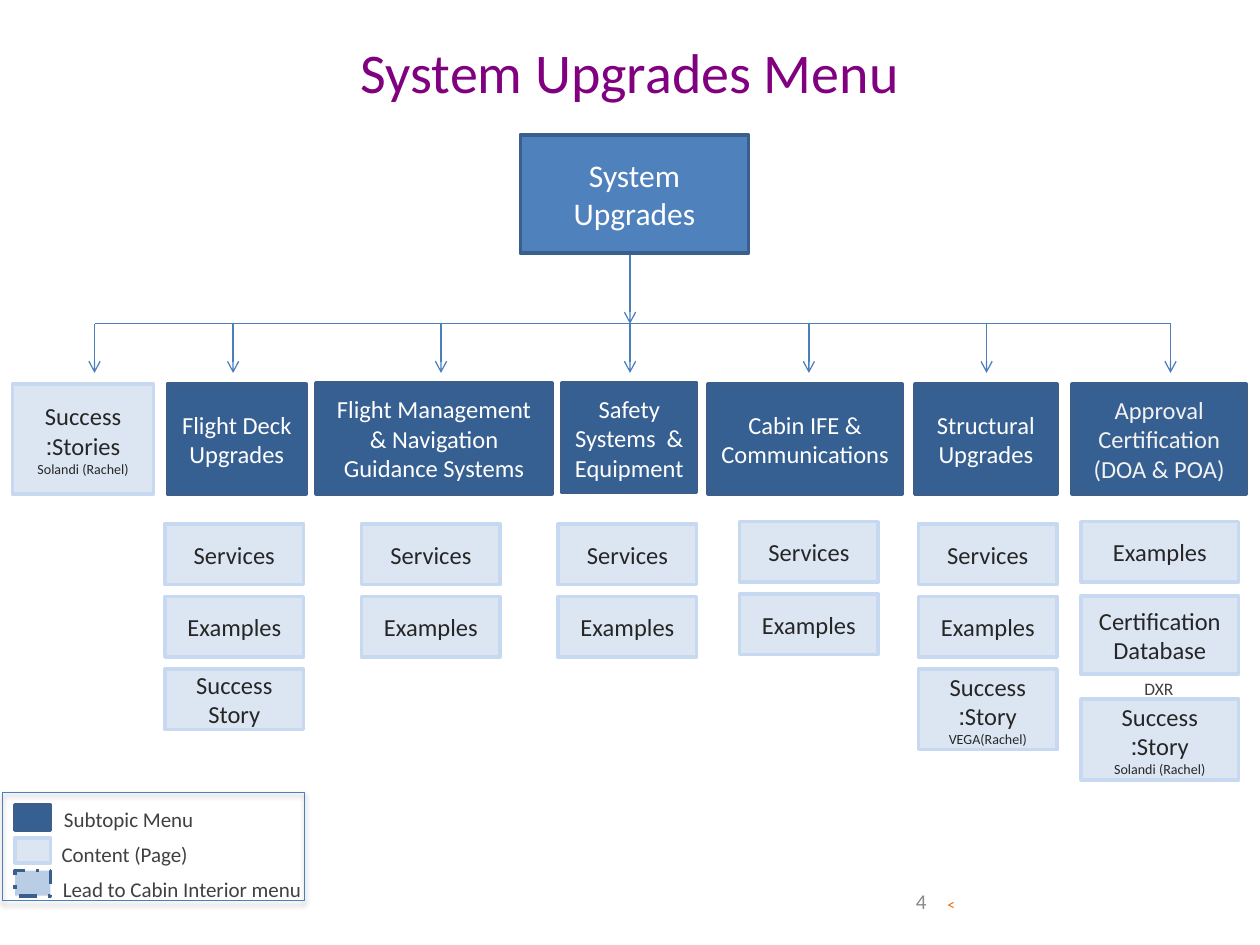
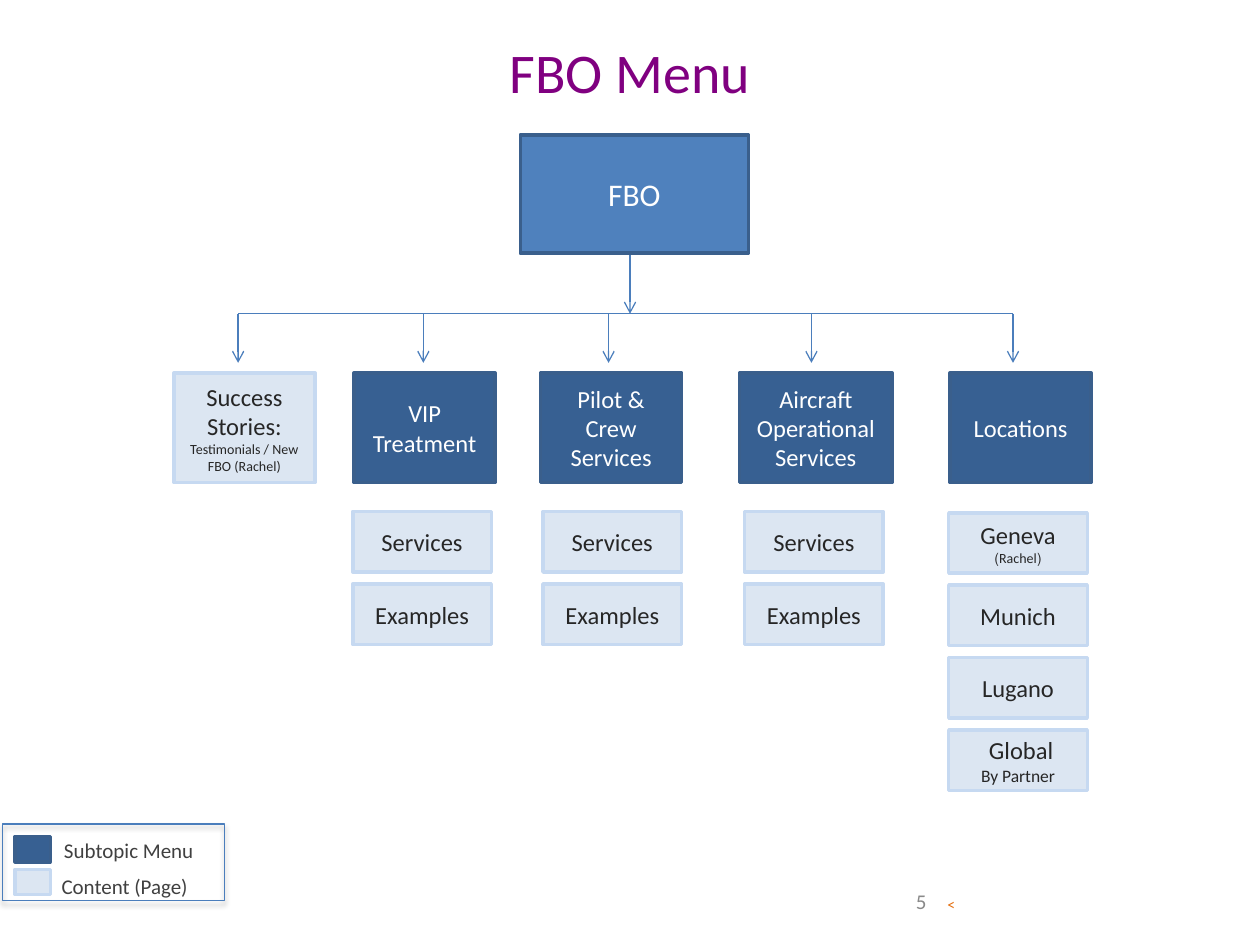
from lxml import etree
from pptx import Presentation
from pptx.dml.color import RGBColor
from pptx.enum.dml import MSO_LINE
from pptx.enum.shapes import MSO_CONNECTOR, MSO_SHAPE
from pptx.enum.text import MSO_ANCHOR, PP_ALIGN
from pptx.oxml import parse_xml
from pptx.oxml.ns import nsdecls, qn
from pptx.util import Inches, Pt

RECTANGLE = MSO_SHAPE.RECTANGLE
STRAIGHT = MSO_CONNECTOR.STRAIGHT
DASH_DOT = MSO_LINE.DASH_DOT
TOP, MIDDLE = MSO_ANCHOR.TOP, MSO_ANCHOR.MIDDLE
LEFT, CENTER, RIGHT = PP_ALIGN.LEFT, PP_ALIGN.CENTER, PP_ALIGN.RIGHT

FONT = "Calibri"
WHITE = RGBColor(0xFF, 0xFF, 0xFF)
OFF_WHITE = RGBColor(0xF2, 0xF2, 0xF2)
PURPLE = RGBColor(0x80, 0x00, 0x80)
ORANGE = RGBColor(0xE4, 0x6C, 0x0A)
GREY = RGBColor(0x89, 0x89, 0x89)
LEGEND_INK = RGBColor(0x40, 0x40, 0x40)
PAGE_INK = RGBColor(0x26, 0x26, 0x26)
ROOT_BLUE = RGBColor(0x4F, 0x81, 0xBD)
MENU_BLUE = RGBColor(0x37, 0x60, 0x92)
MENU_EDGE = RGBColor(0x3A, 0x5F, 0x8C)
PAGE_BLUE = RGBColor(0xDC, 0xE6, 0xF2)
PAGE_EDGE = RGBColor(0xC6, 0xD9, 0xF1)
LEAD_BLUE = RGBColor(0xB9, 0xCD, 0xE5)
LINE_BLUE = RGBColor(0x4B, 0x7E, 0xBC)

# Box kinds: fill, edge, text colour
ROOT = (ROOT_BLUE, MENU_EDGE, WHITE)
MENU = (MENU_BLUE, MENU_EDGE, WHITE)
PALE_MENU = (MENU_BLUE, MENU_EDGE, OFF_WHITE)
PAGE = (PAGE_BLUE, PAGE_EDGE, PAGE_INK)
LEAD = (LEAD_BLUE, MENU_EDGE, PAGE_INK)

ROOT_AT = (4.13, 1.07, 1.81, 0.94)
TRUNK_X = 5
STEM_LENGTH = 0.39
PAGE_HEIGHT = 0.48
PAGE_GAP = 0.095
LEGEND_BOTTOM = 7.15

# Pages: lines with sizes, height, gap above
SERVICES = ([("Services", 14)], PAGE_HEIGHT, PAGE_GAP)
EXAMPLES = ([("Examples", 14)], PAGE_HEIGHT, PAGE_GAP)

# Columns: stem x, heading kind, heading lines, heading place, right-to-left,
# left, top and width of the pages, pages
UPGRADE_COLUMNS = [
    (0.75, PAGE, [("Success Stories:", 14), ("Solandi (Rachel)", 8)],
     (0.1, 3.05, 1.12, 0.87), True, None, []),
    (1.85, MENU, [("Flight Deck Upgrades", 14)],
     (1.33, 3.05, 1.1, 0.87), True, (1.31, 4.16, 1.1),
     [SERVICES, EXAMPLES, ([("Success Story", 14)], PAGE_HEIGHT, PAGE_GAP)]),
    (3.5, MENU, [("Flight Management & Navigation Guidance Systems", 14)],
     (2.51, 3.04, 1.87, 0.88), True, (2.87, 4.16, 1.1), [SERVICES, EXAMPLES]),
    (5, MENU, [("Safety Systems  & Equipment", 14)],
     (4.46, 3.04, 1.07, 0.87), True, (4.43, 4.16, 1.1), [SERVICES, EXAMPLES]),
    (6.42, MENU, [("Cabin IFE & Communications", 14)],
     (5.62, 3.05, 1.54, 0.87), True, (5.87, 4.14, 1.1), [SERVICES, EXAMPLES]),
    (7.83, MENU, [("Structural Upgrades", 14)],
     (7.26, 3.05, 1.13, 0.87), True, (7.29, 4.16, 1.1),
     [SERVICES, EXAMPLES,
      ([("Success Story:", 14), ("VEGA(Rachel)", 8)], 0.64, PAGE_GAP)]),
    (9.29, PALE_MENU, [("Approval Certification (DOA & POA)", 14)],
     (8.51, 3.05, 1.38, 0.87), True, (8.58, 4.14, 1.25),
     [EXAMPLES, ([("Certification Database", 14)], 0.62, 0.11),
      ([("Success Story:", 14), ("Solandi (Rachel)", 8)], 0.64, 0.2)]),
]
FBO_COLUMNS = [
    (1.89, PAGE, [("Success Stories:", 14), ("Testimonials / New FBO (Rachel)", 8)],
     (1.38, 2.96, 1.12, 0.87), False, None, []),
    (3.36, MENU, [("VIP Treatment", 14)],
     (2.81, 2.96, 1.12, 0.87), True, (2.8, 4.06, 1.1), [SERVICES, EXAMPLES]),
    (4.83, MENU, [("Pilot & Crew Services", 14)],
     (4.29, 2.96, 1.12, 0.87), True, (4.31, 4.06, 1.1), [SERVICES, EXAMPLES]),
    (6.44, MENU, [("Aircraft Operational Services", 14)],
     (5.87, 2.96, 1.21, 0.87), True, (5.91, 4.06, 1.1), [SERVICES, EXAMPLES]),
    (8.04, MENU, [("Locations", 14)],
     (7.54, 2.96, 1.12, 0.87), True, (7.53, 4.07, 1.1),
     [([("Geneva", 14), ("(Rachel)", 8)], PAGE_HEIGHT, PAGE_GAP),
      ([("Munich", 14)], PAGE_HEIGHT, PAGE_GAP),
      ([("Lugano", 14)], PAGE_HEIGHT, PAGE_GAP),
      ([("Global ", 14), ("By Partner", 10)], PAGE_HEIGHT, PAGE_GAP)]),
]
# Legend entries: label, box kind, left and width of the label
LEGEND = [
    ("Subtopic Menu", MENU, 0.41, 1.76),
    ("Content (Page)", PAGE, 0.39, 1.64),
    ("Lead to Cabin Interior menu", LEAD, 0.4, 2.5),
]
# Menus: title, root, bus y, columns, legend entries, legend width and height, number
MENUS = [
    ("System Upgrades Menu", "System Upgrades", 2.57, UPGRADE_COLUMNS,
     LEGEND, 2.4, 0.86, "4"),
    ("FBO Menu", "FBO", 2.49, FBO_COLUMNS, LEGEND[:2], 1.76, 0.61, "5"),
]


def add_box(slide, place, kind, lines=(), rtl=True):
    fill, edge, ink = kind
    box = slide.shapes.add_shape(RECTANGLE, *[Inches(v) for v in place])
    box.shadow.inherit = False
    box.fill.solid()
    box.fill.fore_color.rgb = fill
    box.line.color.rgb = edge
    box.line.width = Pt(2)
    frame = box.text_frame
    frame.word_wrap = True
    frame.vertical_anchor = MIDDLE
    for i, (text, size) in enumerate(lines):
        paragraph = frame.add_paragraph() if i else frame.paragraphs[0]
        paragraph.alignment = CENTER
        if rtl:
            paragraph._p.get_or_add_pPr().set("rtl", "1")
        run = paragraph.add_run()
        run.text = text
        run.font.name = FONT
        run.font.size = Pt(size)
        run.font.color.rgb = ink
    return box


def add_label(slide, place, text, size, color, align=LEFT, anchor=TOP, spacing=1.3):
    label = slide.shapes.add_textbox(*[Inches(v) for v in place])
    frame = label.text_frame
    frame.word_wrap = True
    frame.vertical_anchor = anchor
    paragraph = frame.paragraphs[0]
    paragraph.alignment = align
    paragraph.line_spacing = spacing
    if spacing > 1:
        paragraph.space_before = Pt(0.2 * size)
    run = paragraph.add_run()
    run.text = text
    run.font.name = FONT
    run.font.size = Pt(size)
    run.font.color.rgb = color


prs = Presentation()
prs.slide_width = Inches(10)
prs.slide_height = Inches(7.5)
title_only = prs.slide_layouts[5]

for title, root, bus_y, columns, entries, legend_width, legend_height, number in MENUS:
    slide = prs.slides.add_slide(title_only)

    heading = slide.shapes.title
    heading.left, heading.top = Inches(0.5), Inches(0.25)
    heading.width, heading.height = Inches(9), Inches(1.25)
    heading.text_frame.vertical_anchor = TOP
    heading.text_frame.paragraphs[0].alignment = CENTER
    run = heading.text_frame.paragraphs[0].add_run()
    run.text = title
    run.font.name = FONT
    run.font.size = Pt(32)
    run.font.color.rgb = PURPLE

    # Tree lines: the bus, the trunk from the root and one stem per column
    stems = [column[0] for column in columns]
    root_bottom = ROOT_AT[1] + ROOT_AT[3]
    tree = [(stems[0], bus_y, stems[-1], bus_y, False),
            (TRUNK_X, root_bottom, TRUNK_X, bus_y, True)]
    tree += [(x, bus_y, x, bus_y + STEM_LENGTH, True) for x in stems]
    for x1, y1, x2, y2, has_arrow in tree:
        branch = slide.shapes.add_connector(
            STRAIGHT, Inches(x1), Inches(y1), Inches(x2), Inches(y2))
        branch.line.color.rgb = LINE_BLUE
        branch.line.width = Pt(0.75)
        if has_arrow:
            etree.SubElement(branch.line._get_or_add_ln(), qn("a:tailEnd"), type="arrow")
        etree.SubElement(branch._element.spPr, qn("a:effectLst"))

    add_box(slide, ROOT_AT, ROOT, [(root, 18)])
    for _, kind, lines, place, rtl, stack, pages in columns:
        add_box(slide, place, kind, lines, rtl)
        if not pages:
            continue
        left, bottom, width = stack
        for i, (page_lines, height, gap) in enumerate(pages):
            top = bottom + gap if i else bottom
            add_box(slide, (left, top, width, height), PAGE, page_lines)
            bottom = top + height

    # Legend
    legend_top = LEGEND_BOTTOM - legend_height
    for i, (text, kind, left, width) in enumerate(entries):
        swatch = add_box(slide, (0.12, legend_top + 0.1 + 0.26 * i, 0.28, 0.2), kind)
        if kind is LEAD:
            swatch.line.dash_style = DASH_DOT
        add_label(slide, (left, legend_top + 0.28 * i, width, 0.36), text, 12, LEGEND_INK)
    frame = slide.shapes.add_shape(RECTANGLE, Inches(0.02), Inches(legend_top),
                                   Inches(legend_width), Inches(legend_height))
    frame.fill.background()
    frame.line.color.rgb = LINE_BLUE
    frame.line.width = Pt(0.75)
    frame._element.spPr.append(parse_xml(
        f'<a:effectLst {nsdecls("a")}>'
        '<a:outerShdw blurRad="40000" dist="23000" dir="5400000" rotWithShape="0">'
        '<a:srgbClr val="000000"><a:alpha val="35000"/></a:srgbClr>'
        '</a:outerShdw></a:effectLst>'))

    # Footer
    add_label(slide, (7.17, 6.95, 2.33, 0.4), number, 12, GREY, anchor=MIDDLE, spacing=1)
    add_label(slide, (7.42, 7.03, 0.4, 0.3), "<", 9, ORANGE, anchor=MIDDLE, spacing=1)

add_label(prs.slides[0], (8.39, 5.28, 1.02, 0.32), "DXR", 10, LEGEND_INK, RIGHT)

prs.save("out.pptx")
